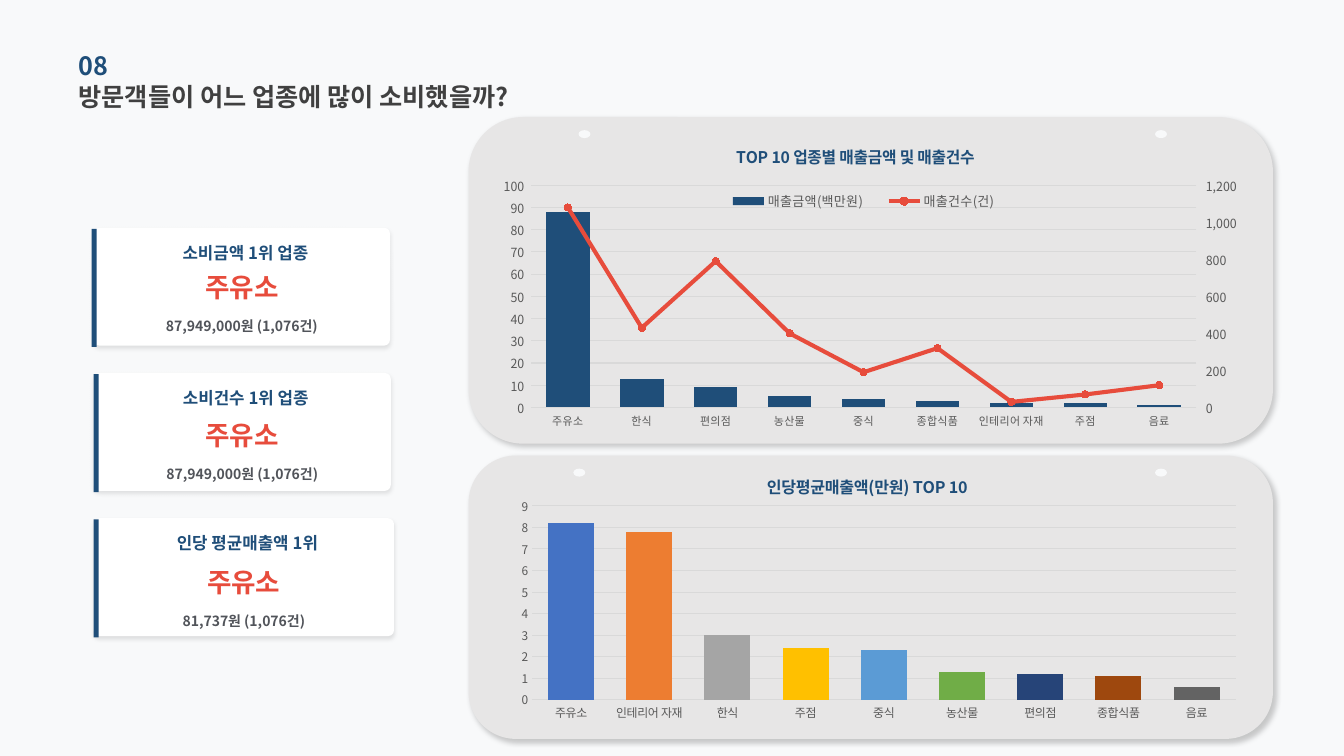
from lxml.etree import SubElement
from pptx import Presentation
from pptx.chart.data import CategoryChartData
from pptx.dml.color import RGBColor
from pptx.enum.chart import XL_CHART_TYPE, XL_LEGEND_POSITION, XL_MARKER_STYLE, XL_TICK_MARK
from pptx.enum.shapes import MSO_SHAPE
from pptx.enum.text import MSO_ANCHOR, MSO_AUTO_SIZE, PP_ALIGN
from pptx.oxml import parse_xml
from pptx.oxml.ns import nsdecls, qn
from pptx.util import Cm, Pt

FONT = "Noto Sans CJK KR"
PAPER = RGBColor(0xF8, 0xF9, 0xFA)
WHITE = RGBColor(0xFF, 0xFF, 0xFF)
BLACK = RGBColor(0x00, 0x00, 0x00)
PANEL = RGBColor(0xE7, 0xE6, 0xE6)
NAVY = RGBColor(0x1F, 0x4E, 0x79)
RED = RGBColor(0xE7, 0x4C, 0x3C)
INK = RGBColor(0x40, 0x40, 0x40)
SLATE = RGBColor(0x51, 0x54, 0x5A)
LABEL = RGBColor(0x59, 0x59, 0x59)
GRID = RGBColor(0xD9, 0xD9, 0xD9)
BAR_COLOURS = [RGBColor.from_string(code) for code in (
    "4472C4", "ED7D31", "A5A5A5", "FFC000", "5B9BD5", "70AD47", "264478", "9E480E", "636363")]


def style_font(font, size, colour, bold=False):
    """Set the face, size, colour and weight of a font."""
    font.name, font.size, font.bold = FONT, Pt(size), bold
    font.color.rgb = colour


def set_east_asian_fonts(element):
    """Use each Latin face for Korean text as well."""
    for latin in list(element.iter(qn("a:latin"))):
        latin.addnext(parse_xml(f'<a:ea {nsdecls("a")} typeface="{latin.get("typeface")}"/>'))


def write_text(shape, text, size, colour, align=PP_ALIGN.LEFT):
    """Write one bold, vertically centred line without insets."""
    frame = shape.text_frame
    frame.word_wrap, frame.auto_size = True, MSO_AUTO_SIZE.NONE
    frame.vertical_anchor = MSO_ANCHOR.MIDDLE
    frame.margin_left = frame.margin_right = frame.margin_top = frame.margin_bottom = 0
    para = frame.paragraphs[0]
    para.alignment = align
    span = para.add_run()
    span.text = text
    style_font(span.font, size, colour, True)


def add_block(shapes, kind, box, colour, shadow=None):
    """Add a plain filled shape, with an optional (alpha, blur, distance, angle) shadow."""
    block = shapes.add_shape(kind, *map(Cm, box))
    block.fill.solid()
    block.fill.fore_color.rgb = colour
    block.line.fill.background()
    block.shadow.inherit = False
    if shadow:
        alpha, blur, distance, angle = shadow
        effects = block.element.spPr.find(qn("a:effectLst"))
        outer = SubElement(effects, qn("a:outerShdw"), blurRad=str(Pt(blur)),
                           dist=str(Pt(distance)), dir=str(angle * 60000), rotWithShape="0")
        tint = SubElement(outer, qn("a:srgbClr"), val="000000")
        SubElement(tint, qn("a:alpha"), val=str(alpha * 1000))
    return block


def add_heading(page, box):
    """Place the section number above the slide title."""
    left, top, width, height = box
    number = page.shapes.add_textbox(*map(Cm, (left, top, width, height)))
    write_text(number, "08", 18, NAVY)
    title = page.shapes.title
    title.left, title.top, title.width, title.height = map(Cm, (left, top + 0.79, width, height))
    write_text(title, "방문객들이 어느 업종에 많이 소비했을까?", 18, INK)


def add_card(page, box, edge, name_top, heading, detail):
    """Place a white ranking card with its navy edge."""
    left, top, width, height = box
    shapes = page.shapes.add_group_shape().shapes
    card = add_block(shapes, MSO_SHAPE.ROUNDED_RECTANGLE, box, WHITE, (10, 3, 2, 90))
    card.adjustments[0] = 0.05
    lines = ((0.09, 0.34, 0.56, heading, 12, NAVY), (0, name_top, 0.86, "주유소", 19, RED),
             (0, name_top + 1.19, 0.43, detail, 10, SLATE))
    for shift, offset, line_height, text, size, colour in lines:
        line = shapes.add_textbox(*map(Cm, (left + shift, top + offset, width, line_height)))
        write_text(line, text, size, colour, PP_ALIGN.CENTER)
    add_block(page.shapes, MSO_SHAPE.RECTANGLE, (edge, top + 0.03, 0.13, height), NAVY)


def add_panel(page, box, hole_offsets):
    """Place a grey rounded panel with two punched holes."""
    left, top = box[:2]
    add_block(page.shapes, MSO_SHAPE.ROUNDED_RECTANGLE, box, PANEL, (20, 4, 3, 45))
    for offset in hole_offsets:
        add_block(page.shapes, MSO_SHAPE.OVAL, (left + offset, top + 0.33, 0.3, 0.2), PAPER)


def set_layout(element, index, x, y, width=None, height=None, inner=False):
    """Give a chart part a manual layout in fractions of the chart."""
    present = element.find(qn("c:layout"))
    if present is not None:
        element.remove(present)
    layout = parse_xml(f'<c:layout {nsdecls("c")}><c:manualLayout/></c:layout>')
    values = [("layoutTarget", "inner")] if inner else []
    values += [("xMode", "edge"), ("yMode", "edge"), ("x", x), ("y", y)]
    values += [("w", width), ("h", height)] if width else []
    for name, value in values:
        SubElement(layout[0], qn(f"c:{name}"), val=str(value))
    element.insert(index, layout)


def style_axis(axis, size, line=None):
    """Format an axis with grey labels and no tick marks."""
    axis.major_tick_mark = axis.minor_tick_mark = XL_TICK_MARK.NONE
    style_font(axis.tick_labels.font, size, LABEL)
    if line:
        axis.format.line.color.rgb, axis.format.line.width = line, Pt(0.75)
    else:
        axis.format.line.fill.background()


def add_column_chart(page, box, title, title_at, plot_box, categories, series, sizes, top_value, step):
    """Place a titled column chart and return it."""
    data = CategoryChartData()
    data.categories = categories
    for name, values in series:
        data.add_series(name, values)
    chart = page.shapes.add_chart(XL_CHART_TYPE.COLUMN_CLUSTERED, *map(Cm, box), data).chart
    chart.font.name, chart.font.size = "Calibri", Pt(10)
    chart.font.color.rgb = BLACK
    chart.has_legend = False
    span = chart.chart_title.text_frame.paragraphs[0].add_run()
    span.text = title
    style_font(span.font, 11.5, NAVY, True)
    root = chart.element
    set_layout(next(root.iter(qn("c:title"))), 1, *title_at)
    set_layout(next(root.iter(qn("c:plotArea"))), 0, *plot_box, inner=True)
    root.find(qn("c:chart")).addnext(parse_xml(
        f'<c:spPr {nsdecls("c", "a")}><a:noFill/><a:ln><a:noFill/></a:ln></c:spPr>'))
    plot, scale = chart.plots[0], chart.value_axis
    plot.gap_width, plot.overlap, plot.vary_by_categories = 70, -27, False
    style_axis(chart.category_axis, sizes[0], GRID)
    style_axis(scale, sizes[1])
    scale.minimum_scale, scale.maximum_scale, scale.major_unit = 0, top_value, step
    scale.major_gridlines.format.line.color.rgb = GRID
    scale.major_gridlines.format.line.width = Pt(0.75)
    return chart


def move_to_right_axis(chart, top_value, step):
    """Turn the second series into a marked line on a right-hand axis."""
    area = next(chart.element.iter(qn("c:plotArea")))
    columns = area.find(qn("c:barChart"))
    counts = columns.findall(qn("c:ser"))[1]
    for flag in counts.findall(qn("c:invertIfNegative")):
        counts.remove(flag)
    lines = parse_xml(
        f'<c:lineChart {nsdecls("c")}><c:grouping val="standard"/><c:varyColors val="0"/>'
        '<c:marker val="1"/><c:axId val="5001"/><c:axId val="5002"/></c:lineChart>')
    lines.insert(2, counts)
    columns.addnext(lines)
    category_axis = parse_xml(
        f'<c:catAx {nsdecls("c")}><c:axId val="5001"/><c:scaling><c:orientation val="minMax"/></c:scaling>'
        '<c:delete val="1"/><c:axPos val="b"/><c:crossAx val="5002"/></c:catAx>')
    value_axis = parse_xml(
        f'<c:valAx {nsdecls("c", "a")}><c:axId val="5002"/><c:scaling><c:orientation val="minMax"/>'
        f'<c:max val="{top_value}"/><c:min val="0"/></c:scaling><c:delete val="0"/><c:axPos val="r"/>'
        '<c:numFmt formatCode="#,##0_ " sourceLinked="0"/><c:majorTickMark val="out"/>'
        '<c:minorTickMark val="none"/><c:tickLblPos val="nextTo"/>'
        '<c:spPr><a:ln><a:noFill/></a:ln></c:spPr><c:txPr><a:bodyPr/><a:p><a:pPr><a:defRPr sz="900" b="0">'
        f'<a:solidFill><a:srgbClr val="{LABEL}"/></a:solidFill><a:latin typeface="{FONT}"/>'
        '</a:defRPr></a:pPr><a:endParaRPr lang="ko-KR"/></a:p></c:txPr><c:crossAx val="5001"/>'
        f'<c:crosses val="max"/><c:majorUnit val="{step}"/></c:valAx>')
    area.findall(qn("c:valAx"))[-1].addnext(value_axis)
    value_axis.addnext(category_axis)
    line = chart.plots[1].series[0]
    line.smooth = False
    line.format.line.color.rgb, line.format.line.width = RED, Pt(3)
    line.marker.style, line.marker.size = XL_MARKER_STYLE.CIRCLE, 5
    line.marker.format.fill.solid()
    line.marker.format.fill.fore_color.rgb = line.marker.format.line.color.rgb = RED


def add_sales_chart(page, box):
    """Place the chart of sales amount and sales count by trade."""
    chart = add_column_chart(
        page, box, "TOP 10 업종별 매출금액 및 매출건수", (0.32, 0.05), (0.04, 0.19, 0.92, 0.7),
        ["주유소", "한식", "편의점", "농산물", "중식", "종합식품", "인테리어 자재", "주점", "음료"],
        [("매출금액(백만원)", (88, 13, 9, 5, 4, 3, 2, 2, 1)),
         ("매출건수(건)", (1080, 430, 790, 400, 190, 320, 30, 70, 120))], (8, 9), 100, 10)
    labels = chart.value_axis.tick_labels
    labels.number_format, labels.number_format_is_linked = "#,##0_ ", False
    amounts = chart.plots[0].series[0]
    amounts.format.fill.solid()
    amounts.format.fill.fore_color.rgb = NAVY
    move_to_right_axis(chart, 1200, 200)
    chart.has_legend = True
    chart.legend.position, chart.legend.include_in_layout = XL_LEGEND_POSITION.TOP, False
    style_font(chart.legend.font, 9.5, LABEL)
    set_layout(next(chart.element.iter(qn("c:legend"))), 1, 0.29, 0.2, 0.42, 0.08)
    set_east_asian_fonts(chart.element)


def add_average_chart(page, box):
    """Place the chart of average sales per person by trade."""
    chart = add_column_chart(
        page, box, "인당평균매출액(만원) TOP 10", (0.35, 0.05), (0.04, 0.18, 0.94, 0.72),
        ["주유소", "인테리어 자재", "한식", "주점", "중식", "농산물", "편의점", "종합식품", "음료"],
        [("Series 1", (8.2, 7.8, 3, 2.4, 2.3, 1.3, 1.2, 1.1, 0.6))], (8.5, 8.5), 9, 1)
    for index, colour in enumerate(BAR_COLOURS):
        fill = chart.plots[0].series[0].points[index].format.fill
        fill.solid()
        fill.fore_color.rgb = colour
    set_east_asian_fonts(chart.element)


def main():
    """Build the slide and save it."""
    deck = Presentation()
    deck.slide_width, deck.slide_height = Cm(33.87), Cm(19.05)
    page = deck.slides.add_slide(deck.slide_layouts[5])
    page.background.fill.solid()
    page.background.fill.fore_color.rgb = PAPER
    add_panel(page, (11.81, 11.48, 20.27, 7.14), (2.64, 17.3))
    add_panel(page, (11.81, 2.95, 20.27, 8.23), (2.77, 17.3))
    add_heading(page, (1.98, 1.12, 11.48, 1.04))
    cards = ((7.47, 2.31, 1.07, "소비금액 1위 업종", "87,949,000원 (1,076건)"),
             (7.49, 2.36, 1.14, "소비건수 1위 업종", "87,949,000원 (1,076건)"),
             (7.57, 2.36, 1.17, "인당 평균매출액 1위", "81,737원 (1,076건)"))
    for row, (width, edge, name_top, heading, detail) in enumerate(cards):
        add_card(page, (2.36, 5.74 + row * 3.66, width, 2.97), edge, name_top, heading, detail)
    add_sales_chart(page, (12.65, 3.15, 18.59, 8))
    add_average_chart(page, (12.65, 11.53, 18.87, 6.78))
    set_east_asian_fonts(page.element)
    deck.save("out.pptx")


if __name__ == "__main__":
    main()
